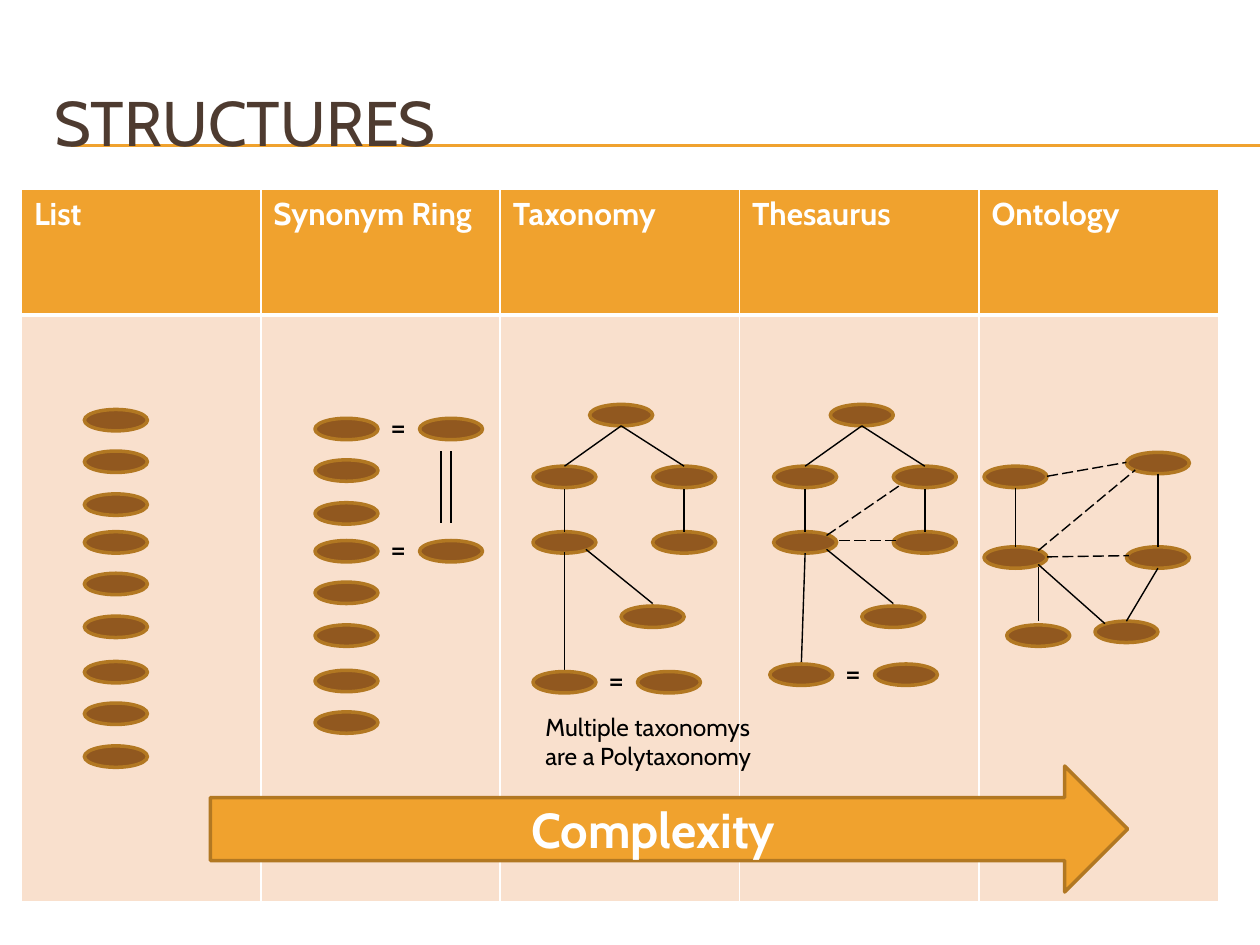
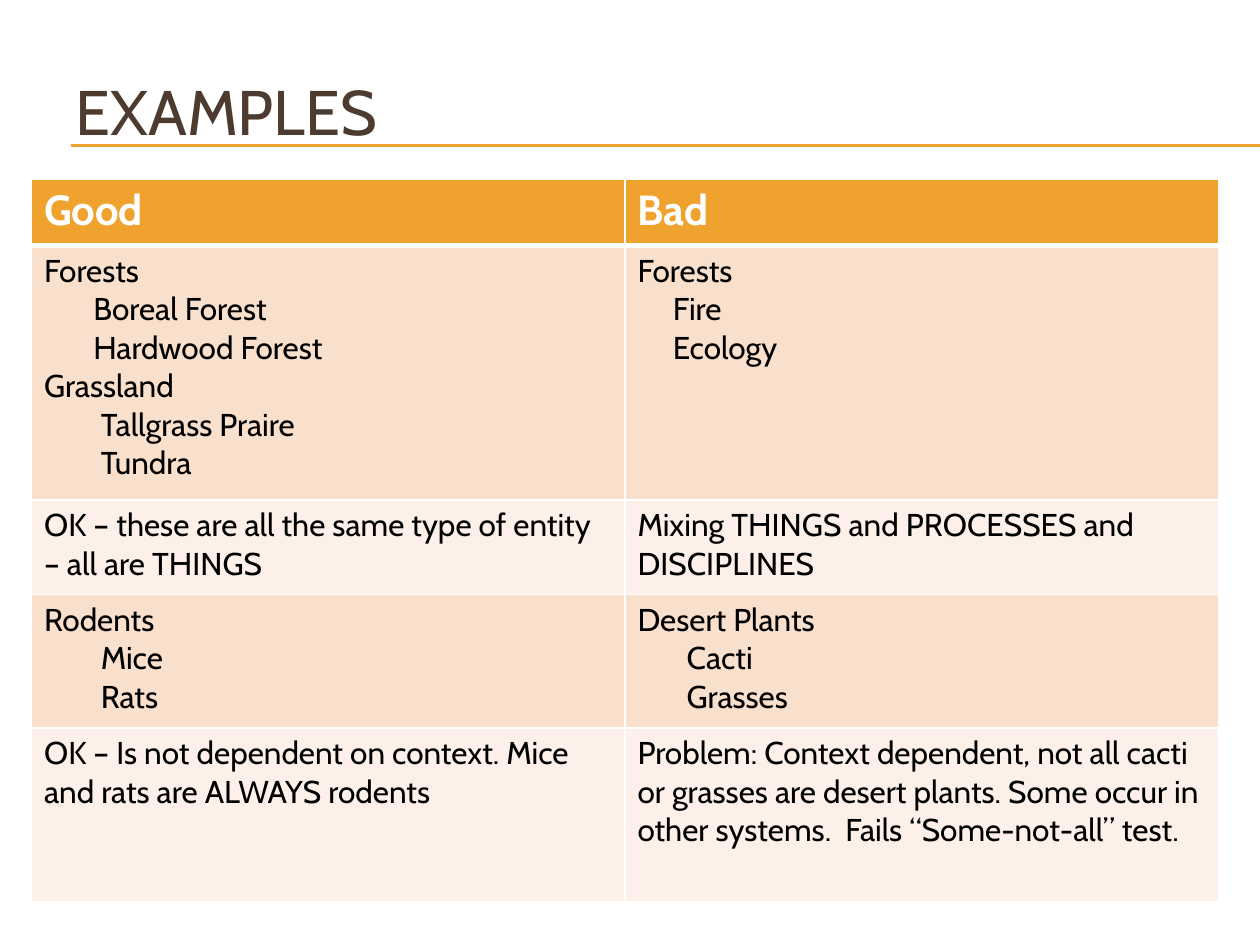
from lxml.etree import SubElement
from pptx import Presentation
from pptx.dml.color import RGBColor
from pptx.enum.dml import MSO_LINE
from pptx.enum.shapes import MSO_CONNECTOR, MSO_SHAPE
from pptx.enum.text import MSO_ANCHOR, MSO_AUTO_SIZE, PP_ALIGN
from pptx.oxml.ns import qn
from pptx.util import Inches, Pt

FONT = "Cabin"
WHITE = RGBColor(0xFF, 0xFF, 0xFF)
BLACK = RGBColor(0, 0, 0)
BROWN = RGBColor(0x4E, 0x3B, 0x30)
ORANGE = RGBColor(0xF0, 0xA2, 0x2E)
OVAL_FILL = RGBColor(0x91, 0x58, 0x1F)
OUTLINE = RGBColor(0xB2, 0x78, 0x22)
BAND_DARK = RGBColor(0xF9, 0xE0, 0xCD)
BAND_LIGHT = RGBColor(0xFC, 0xF0, 0xE8)

OVAL_W, OVAL_H = 0.5, 0.17
TRIPLE_TOPS = (0, 0.97, 2)
LIST_STEPS = [top + step for top in TRIPLE_TOPS for step in (0, 0.33, 0.67)]

TREE_OVALS = [(0.45, 3.21), (0, 3.7), (0.95, 3.7),
              (0, 4.22), (0.95, 4.22), (0.7, 4.81)]
TREE_LINES = [(0.7, 3.38, 0.25, 3.7), (0.7, 3.38, 1.2, 3.7),
              (0.25, 3.88, 0.25, 4.22), (1.2, 3.88, 1.2, 4.22),
              (0.42, 4.36, 0.95, 4.79)]
ONTOLOGY_OVALS = [(7.81, 3.7), (8.94, 3.59), (7.81, 4.34),
                  (8.94, 4.34), (7.99, 4.96), (8.69, 4.93)]
ONTOLOGY_LINES = [(8.06, 3.87, 8.06, 4.34), (9.19, 3.76, 9.19, 4.34),
                  (8.24, 4.5, 8.24, 4.93), (8.24, 4.48, 8.77, 4.95),
                  (9.19, 4.51, 8.94, 4.93)]
ONTOLOGY_LINKS = [(8.31, 3.78, 8.94, 3.67), (8.31, 4.42, 8.96, 4.41),
                  (8.24, 4.37, 9.01, 3.73)]
THESAURUS_LINKS = [(6.66, 4.29, 7.11, 4.29), (6.56, 4.25, 7.16, 3.84)]

STRUCTURES = [["List", "Synonym Ring", "Taxonomy", "Thesaurus", "Ontology"],
              [""] * 5]
EXAMPLES = [
    ["Good", "Bad"],
    [["Forests", ("Boreal Forest", 0.39), ("Hardwood Forest", 0.39),
      "Grassland", ("Tallgrass Praire", 0.45), ("Tundra", 0.45)],
     ["Forests", ("Fire", 0.28), ("Ecology", 0.28)]],
    ["OK – these are all the same type of entity – all are THINGS",
     "Mixing THINGS and PROCESSES and DISCIPLINES"],
    [["Rodents", ("Mice", 0.45), ("Rats", 0.45)],
     ["Desert Plants", ("Cacti", 0.39), ("Grasses", 0.39)]],
    ["OK – Is not dependent on context. Mice and rats are ALWAYS rodents",
     "Problem: Context dependent, not all cacti or grasses are desert plants. "
     "Some occur in other systems.  Fails “Some-not-all” test."],
]


def add_run(p, text, size, color, bold=False):
    r = p.add_run()
    r.text = text
    r.font.name = FONT
    r.font.size = Pt(size)
    r.font.bold = bold
    r.font.color.rgb = color


def add_line(s, x1, y1, x2, y2, color=BLACK, width=0.79, dashed=False):
    line = s.shapes.add_connector(MSO_CONNECTOR.STRAIGHT, Inches(x1), Inches(y1),
                                  Inches(x2), Inches(y2))
    line.line.color.rgb = color
    line.line.width = Pt(width)
    if dashed:
        line.line.dash_style = MSO_LINE.LONG_DASH
    SubElement(line.element.spPr, qn("a:effectLst"))
    return line


def add_lines(s, lines, dx=0, dashed=False):
    for x1, y1, x2, y2 in lines:
        add_line(s, x1 + dx, y1, x2 + dx, y2, dashed=dashed)


def add_filled(s, kind, x, y, w, h, fill):
    sp = s.shapes.add_shape(kind, Inches(x), Inches(y), Inches(w), Inches(h))
    sp.shadow.inherit = False
    sp.fill.solid()
    sp.fill.fore_color.rgb = fill
    sp.line.color.rgb = OUTLINE
    sp.line.width = Pt(2)
    return sp


def add_ovals(s, points, dx=0):
    for x, y in points:
        add_filled(s, MSO_SHAPE.OVAL, x + dx, y, OVAL_W, OVAL_H, OVAL_FILL)


def add_text(s, x, y, w, h, text, size):
    tf = s.shapes.add_textbox(Inches(x), Inches(y), Inches(w), Inches(h)).text_frame
    tf.word_wrap = True
    add_run(tf.paragraphs[0], text, size, BLACK)


def add_synonyms(s, x, y):
    add_ovals(s, [(x, y), (x + 0.83, y)])
    add_text(s, x + OVAL_W, y - 0.14, 0.33, 0.4, "=", 18)


def add_tree(s, x):
    add_ovals(s, TREE_OVALS, x)
    add_lines(s, TREE_LINES, x)


def add_titled_slide(prs, text, x, y, w, h):
    s = prs.slides.add_slide(prs.slide_layouts[5])
    title = s.shapes.title
    title.left, title.top, title.width, title.height = map(Inches, (x, y, w, h))
    for rule_y in (1.15, 1.16):
        rule = add_line(s, 0.56, rule_y, 10, rule_y, ORANGE, 0.75)
        title.element.addprevious(rule.element)
    tf = title.text_frame
    tf.auto_size = MSO_AUTO_SIZE.NONE
    tf.vertical_anchor = MSO_ANCHOR.MIDDLE
    p = tf.paragraphs[0]
    p.alignment = PP_ALIGN.LEFT
    add_run(p, text, 36, BROWN)
    return s


def set_borders(cell, top, bottom):
    tc_pr = cell._tc.get_or_add_tcPr()
    for side, width in (("L", 1), ("R", 1), ("T", top), ("B", bottom)):
        ln = SubElement(tc_pr, qn(f"a:ln{side}"), w=str(Pt(width)))
        fill = SubElement(ln, qn("a:solidFill"))
        SubElement(fill, qn("a:srgbClr"), val=str(WHITE))


def fill_cell(cell, content, row, header_size):
    set_borders(cell, 3 if row == 1 else 1, 3 if row == 0 else 1)
    cell.fill.solid()
    cell.fill.fore_color.rgb = (ORANGE if row == 0 else
                                BAND_DARK if row % 2 else BAND_LIGHT)
    if not content:
        return
    items = content if isinstance(content, list) else [content]
    tf = cell.text_frame
    for i, item in enumerate(items):
        text, indent = item if isinstance(item, tuple) else (item, 0)
        p = tf.add_paragraph() if i else tf.paragraphs[0]
        if indent:
            p._p.get_or_add_pPr().set("marL", str(Inches(indent)))
        if row == 0:
            add_run(p, text, header_size, WHITE, True)
        else:
            add_run(p, text, 18, BLACK)


def add_grid(s, x, y, w, heights, rows, header_size):
    columns = len(rows[0])
    table = s.shapes.add_table(len(rows), columns, Inches(x), Inches(y),
                               Inches(w), Inches(sum(heights))).table
    for column in table.columns:
        column.width = Inches(w / columns)
    for i, (height, row) in enumerate(zip(heights, rows)):
        table.rows[i].height = Inches(height)
        for j, content in enumerate(row):
            fill_cell(table.cell(i, j), content, i, header_size)


def add_complexity_arrow(s):
    arrow = add_filled(s, MSO_SHAPE.RIGHT_ARROW, 1.67, 6.08, 7.28, 1, ORANGE)
    tf = arrow.text_frame
    tf.vertical_anchor = MSO_ANCHOR.MIDDLE
    p = tf.paragraphs[0]
    p.alignment = PP_ALIGN.CENTER
    add_run(p, "Complexity", 28, WHITE, True)


def build_structures(prs):
    s = add_titled_slide(prs, "STRUCTURES", 0.33, 0.5, 9.5, 0.92)
    add_grid(s, 0.17, 1.5, 9.5, [1, 4.66], STRUCTURES, 18)

    add_ovals(s, [(0.67, 3.25 + step) for step in LIST_STEPS])

    ring_tops = [3.32 + step for step in LIST_STEPS[:8]]
    for i, y in enumerate(ring_tops):
        if i in (0, 3):
            add_synonyms(s, 2.5, y)
        else:
            add_ovals(s, [(2.5, y)])
    add_lines(s, [(x, 3.58, x, 4.15) for x in (3.5, 3.58)])

    add_tree(s, 4.23)
    add_line(s, 4.48, 4.38, 4.48, 5.33)
    add_synonyms(s, 4.23, 5.33)

    add_tree(s, 6.14)
    add_line(s, 6.39, 4.39, 6.36, 5.27)
    add_lines(s, THESAURUS_LINKS, dashed=True)
    add_synonyms(s, 6.11, 5.27)

    add_ovals(s, ONTOLOGY_OVALS)
    add_lines(s, ONTOLOGY_LINES)
    add_lines(s, ONTOLOGY_LINKS, dashed=True)

    add_complexity_arrow(s)
    add_text(s, 4.23, 5.6, 1.88, 0.57, "Multiple taxonomys are a Polytaxonomy", 14)


def build_examples(prs):
    s = add_titled_slide(prs, "EXAMPLES", 0.5, 0.25, 9, 1.25)
    add_grid(s, 0.25, 1.42, 9.42, [0.53, 2.02, 0.75, 1.06, 1.38], EXAMPLES, 24)


def main():
    prs = Presentation()
    prs.slide_width = Inches(10)
    prs.slide_height = Inches(7.5)
    build_structures(prs)
    build_examples(prs)
    prs.save("out.pptx")


if __name__ == "__main__":
    main()
